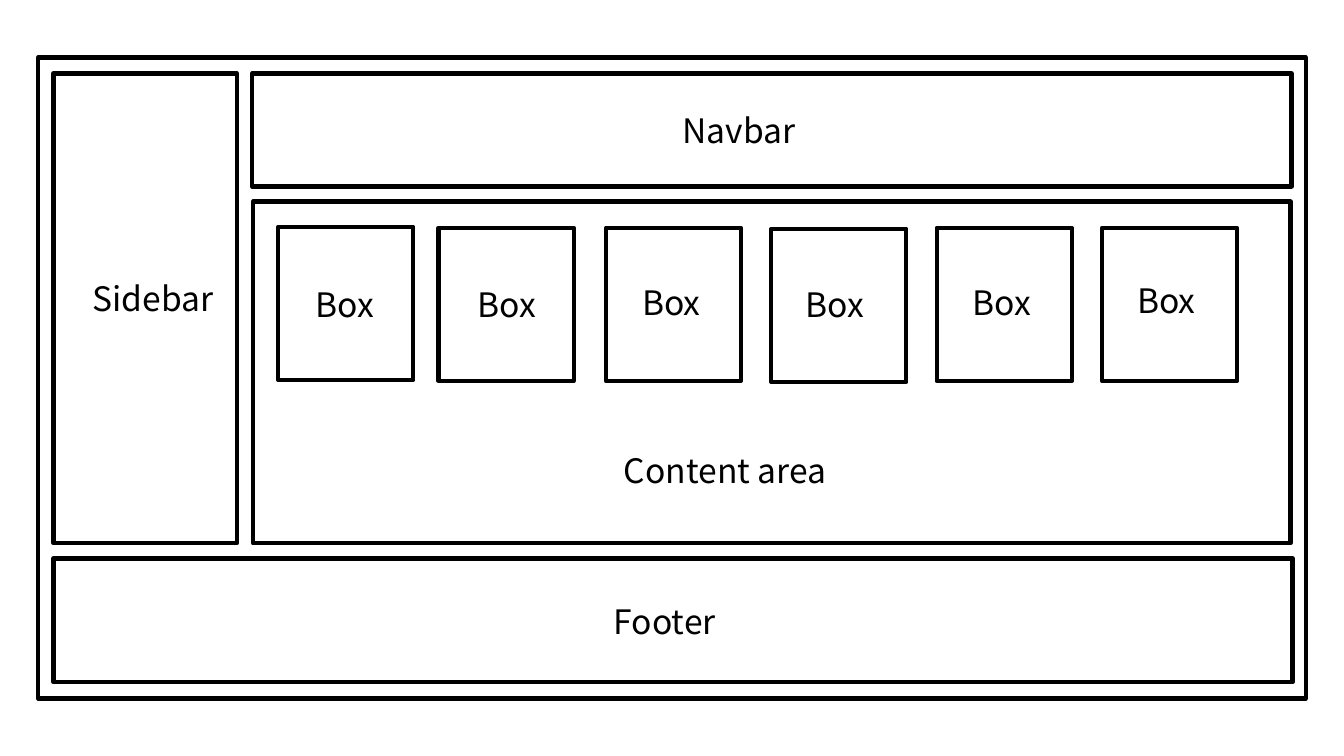
from pptx import Presentation
from pptx.dml.color import RGBColor
from pptx.enum.shapes import MSO_SHAPE
from pptx.enum.text import MSO_AUTO_SIZE
from pptx.util import Inches, Pt

RECTANGLE = MSO_SHAPE.RECTANGLE
GROW = MSO_AUTO_SIZE.SHAPE_TO_FIT_TEXT
BLACK = "000000"
LABEL_FORMAT = {"name": "Noto Sans CJK KR", "size": Pt(24)}
LABEL_HEIGHT = 0.5

# Page regions: left, top, width, height
REGIONS = {
    "page frame": (0.38, 0.57, 12.57, 6.36),
    "footer": (0.53, 5.54, 12.29, 1.23),
    "sidebar": (0.53, 0.73, 1.82, 4.66),
    "navbar": (2.5, 0.73, 10.31, 1.12),
    "content area": (2.51, 2, 10.29, 3.39),
}

# Region labels: text, left, top, width
LABELS = [
    ("Sidebar", 0.82, 2.71, 1.83),
    ("Navbar", 6.67, 1.04, 1.83),
    ("Footer", 5.99, 5.91, 1.83),
    ("Content area", 6.09, 4.41, 3.14),
]

# Content boxes: left, top, label left, label top
BOX_SIZE = (1.34, 1.52)
BOX_LABEL_WIDTH = 1.06
BOXES = [
    (2.76, 2.25, 3.03, 2.77),
    (4.35, 2.26, 4.64, 2.77),
    (6.01, 2.26, 6.27, 2.75),
    (7.65, 2.27, 7.89, 2.77),
    (9.29, 2.26, 9.55, 2.75),
    (10.93, 2.26, 11.18, 2.73),
]


def color(value):
    return RGBColor.from_string(value)


def add_outline(page, *place):
    box = page.shapes.add_shape(RECTANGLE, *map(Inches, place))
    box.shadow.inherit = False
    box.fill.background()
    box.line.color.rgb = color(BLACK)
    box.line.width = Pt(3)


def add_label(page, text, left, top, width):
    place = map(Inches, (left, top, width, LABEL_HEIGHT))
    frame = page.shapes.add_textbox(*place).text_frame
    frame.word_wrap = True
    frame.auto_size = GROW
    span = frame.paragraphs[0].add_run()
    span.text = text
    span.font.color.rgb = color(BLACK)
    for key, value in LABEL_FORMAT.items():
        setattr(span.font, key, value)


deck = Presentation()
deck.slide_width, deck.slide_height = Inches(13.33), Inches(7.5)
page = deck.slides.add_slide(deck.slide_layouts[6])

# Page regions and their labels
for place in REGIONS.values():
    add_outline(page, *place)
for label in LABELS:
    add_label(page, *label)

# Row of boxes in the content area
for left, top, label_left, label_top in BOXES:
    add_outline(page, left, top, *BOX_SIZE)
    add_label(page, "Box", label_left, label_top, BOX_LABEL_WIDTH)

deck.save("out.pptx")
